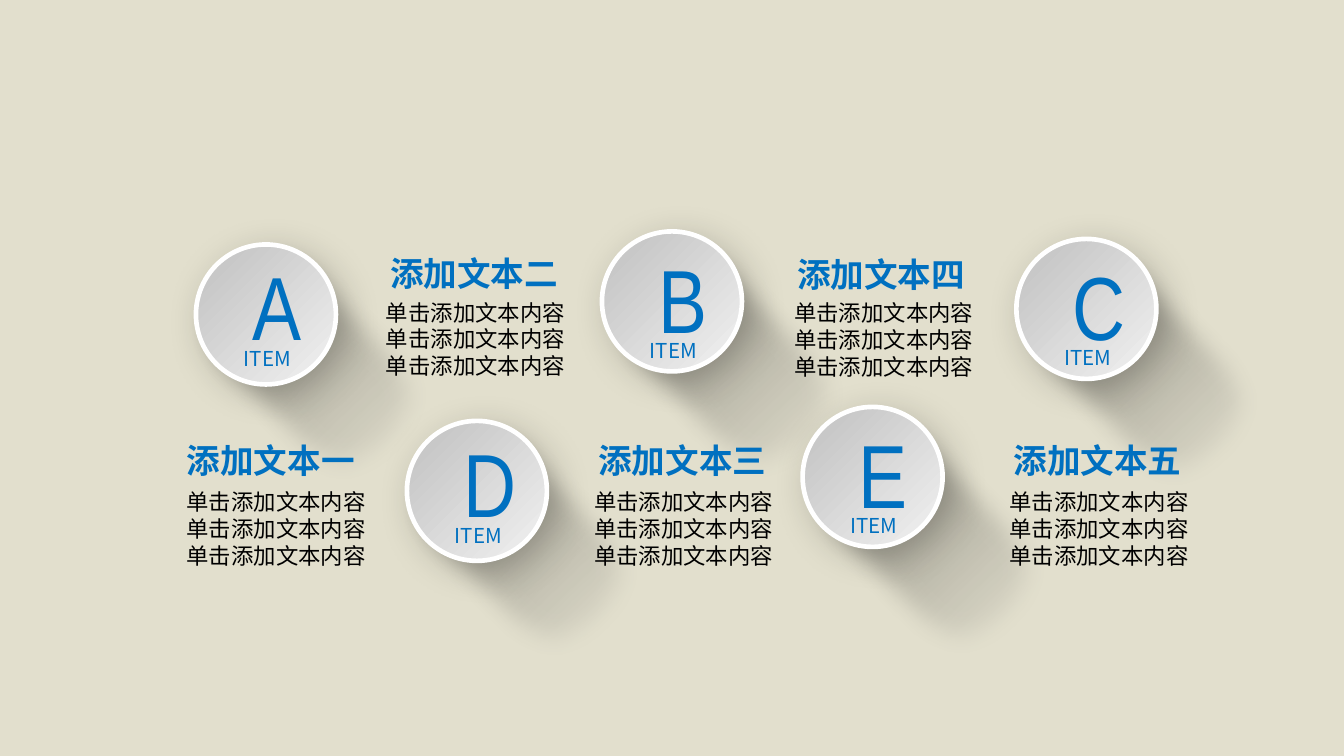
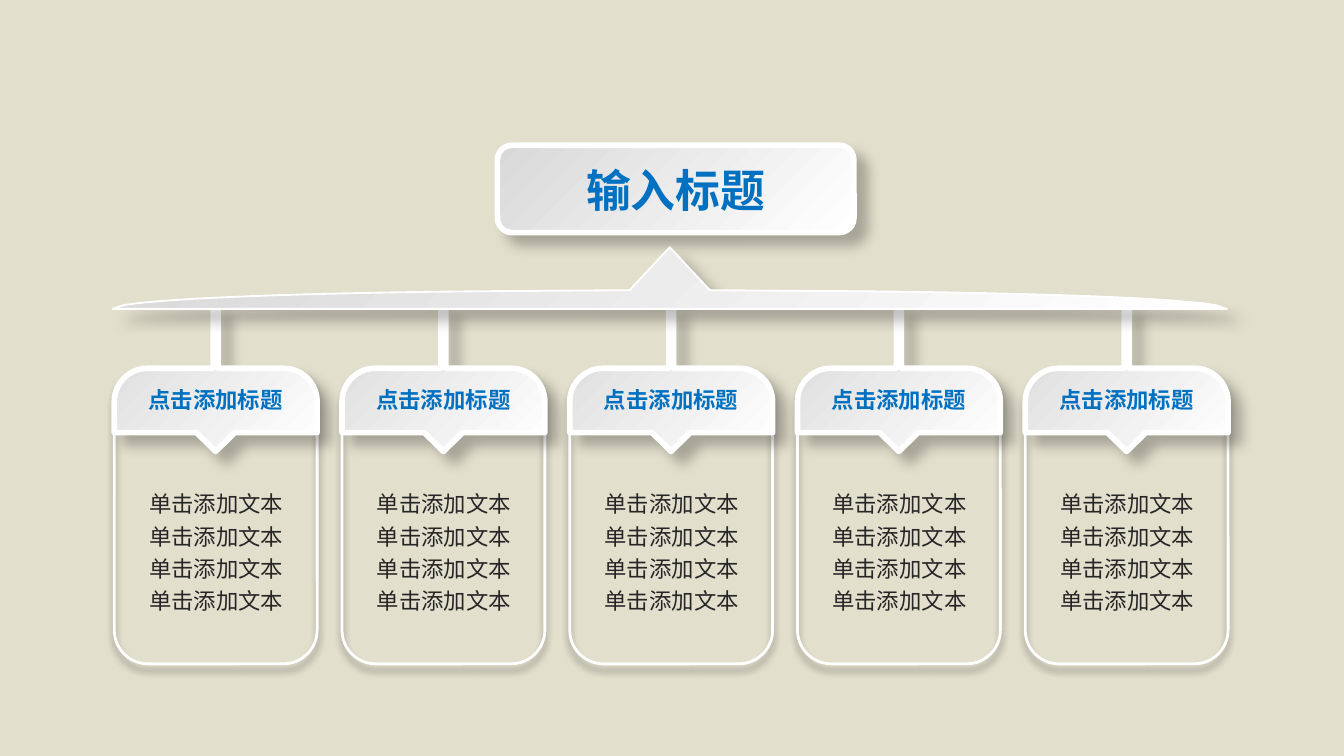
from lxml import etree
from pptx import Presentation
from pptx.dml.color import RGBColor
from pptx.enum import shapes, text
from pptx.oxml import ns, parse_xml
from pptx.util import Pt

COLORS = {
    "ground": "C4BD97", "accent": "0070C0", "white": "FFFFFF", "black": "000000",
    "ink": "262626", "silver": "D9D9D9", "grey": "BFBFBF", "pale": "F2F2F2", "fade": "D8D8D8",
}
SANS = "Noto Sans CJK SC"
DRAWING = ns.nsdecls("a")
INSETS = (5, 3)
PANEL = [(0, "silver", 100), (100, "white", 100)]
DISC = [(0, "grey", 100), (100, "pale", 100)]
CAST = [(0, "black", 61), (51, "black", 19), (100, "fade", 0)]
PANEL_SHADOW = (25, 7, 8, 45)  # opacity, blur, distance, angle
DISC_SHADOW = (20, 20, 6, 45)
BODY_SHADOW = (40, 4, 3, 90)
DISC_SIZE = 75


def rgb(name):
    return RGBColor.from_string(COLORS[name])


def color_xml(name, opacity):
    return f'<a:srgbClr val="{COLORS[name]}"><a:alpha val="{opacity * 1000}"/></a:srgbClr>'


def set_gradient(shape, stops, angle):
    shape.fill.gradient()
    old = shape._element.spPr.find(ns.qn("a:gradFill"))
    marks = "".join(f'<a:gs pos="{position * 1000}">{color_xml(name, opacity)}</a:gs>'
                    for position, name, opacity in stops)
    new = parse_xml(f'<a:gradFill {DRAWING} rotWithShape="1"><a:gsLst>{marks}</a:gsLst>'
                    f'<a:lin ang="{angle * 60000}" scaled="0"/></a:gradFill>')
    old.getparent().replace(old, new)


def effects(shape):
    """Return the shape's own, empty effect list."""
    shape.shadow.inherit = False
    return shape._element.spPr.find(ns.qn("a:effectLst"))


def set_shadow(shape, opacity, blur, distance, angle):
    effects(shape).append(parse_xml(
        f'<a:outerShdw {DRAWING} blurRad="{Pt(blur)}" dist="{Pt(distance)}" '
        f'dir="{angle * 60000}" algn="ctr" rotWithShape="0">'
        f'{color_xml("black", opacity)}</a:outerShdw>'))


def style(shape, stops, line_width, shadow):
    """White outline, drop shadow and, when stops are given, a diagonal gradient."""
    if stops:
        set_gradient(shape, stops, 45)
    else:
        shape.fill.background()
    shape.line.color.rgb = rgb("white")
    shape.line.width = Pt(line_width)
    set_shadow(shape, *shadow)


def add_preset(parent, kind, left, top, width, height):
    return parent.shapes.add_shape(kind, Pt(left), Pt(top), Pt(width), Pt(height))


def add_text(parent, left, top, width, height, lines, size, color="accent", font=SANS,
             bold=False, center=True, wrap=True, grow=False, middle=False,
             spacing=None, insets=INSETS):
    box = parent.shapes.add_textbox(Pt(left), Pt(top), Pt(width), Pt(height))
    frame = box.text_frame
    frame.word_wrap = wrap
    frame.auto_size = text.MSO_AUTO_SIZE.SHAPE_TO_FIT_TEXT if grow else text.MSO_AUTO_SIZE.NONE
    frame.vertical_anchor = text.MSO_ANCHOR.MIDDLE if middle else text.MSO_ANCHOR.TOP
    frame.margin_left = frame.margin_right = Pt(insets[0])
    frame.margin_top = frame.margin_bottom = Pt(insets[1])
    for index, line in enumerate(lines):
        para = frame.add_paragraph() if index else frame.paragraphs[0]
        para.alignment = text.PP_ALIGN.CENTER if center else text.PP_ALIGN.LEFT
        para.line_spacing = spacing
        span = para.add_run()
        span.text = line
        span.font.size = Pt(size)
        span.font.bold = bold
        span.font.color.rgb = rgb(color)
        span.font.name = font
        east_asian = etree.SubElement(span._r.rPr, ns.qn("a:ea"))
        east_asian.set("typeface", SANS)


def curve(start, first, second, end, steps=12):
    """Points of a cubic curve, without its start."""
    points = []
    for step in range(1, steps + 1):
        t = step / steps
        weights = ((1 - t) ** 3, 3 * t * (1 - t) ** 2, 3 * t * t * (1 - t), t ** 3)
        points.append(tuple(sum(w * p[axis] for w, p in zip(weights, (start, first, second, end)))
                            for axis in (0, 1)))
    return points


def add_symmetric(page, center, top, half):
    """Close a right half outline, listed from its top middle, with its mirror image."""
    outline = half + [(-x, y) for x, y in reversed(half)]
    points = [(Pt(center + x), Pt(top + y)) for x, y in outline]
    builder = page.shapes.build_freeform(*points[0], scale=1.0)
    builder.add_line_segments(points[1:], close=True)
    return builder.convert_to_shape()


def add_page(deck):
    page = deck.slides.add_slide(deck.slide_layouts[6])
    fill = page.background.fill
    fill.solid()
    fill.fore_color.rgb = rgb("ground")
    color = page.background._cSld.find(".//" + ns.qn("a:srgbClr"))
    etree.SubElement(color, ns.qn("a:alpha")).set("val", "48000")
    return page


def add_disc(page, letter, left, top, drop):
    """Lettered disc with a long cast shadow; drop lowers its text and shadow."""
    group = page.shapes.add_group_shape()
    cast = add_preset(group, shapes.MSO_SHAPE.ROUNDED_RECTANGLE,
                      left - 14 + 2 * drop, top + 13.5 + 2 * drop, 150.5, 99.5)
    cast.adjustments[0] = 0.5
    cast.rotation = 46
    set_gradient(cast, CAST, 0)
    cast.line.fill.background()
    etree.SubElement(effects(cast), ns.qn("a:softEdge")).set("rad", str(Pt(12.5)))
    disc = add_preset(group, shapes.MSO_SHAPE.OVAL, left, top, DISC_SIZE, DISC_SIZE)
    style(disc, DISC, 2.5, DISC_SHADOW)
    insets = (7.2, 3.6)
    add_text(group, left + 23, top + drop, 31, 65.5, [letter], 48,
             font="Arial Narrow", grow=True, insets=insets)
    add_text(group, left + 18, top + 51 + drop * 0.8, 40.5, 21, ["ITEM"], 11,
             grow=True, insets=insets)


def add_caption(page, title, left, top, indent, drop):
    add_text(page, left, top, 101.5, 27.5, [title], 18, font="Arial", bold=True,
             center=False, wrap=False, grow=True)
    add_text(page, left - indent, top + drop, 108, 49, ["单击添加文本内容"] * 3, 12, "black",
             "Arial", center=False, wrap=False, grow=True)


def build_items(deck):
    page = add_page(deck)
    for disc in (("A", 105, 131, 0), ("C", 544.5, 128, 3), ("B", 322.5, 124, 3),
                 ("D", 218, 225.5, 0), ("E", 430, 218, 3)):
        add_disc(page, *disc)
    for caption in (("添加文本二", 204, 132.5, 2.2, 24.5), ("添加文本三", 315.5, 232.5, 2.2, 26),
                    ("添加文本四", 422, 133, 1.5, 24.5), ("添加文本一", 95, 232.5, 0, 26),
                    ("添加文本五", 538, 232.5, 2.2, 26)):
        add_caption(page, *caption)


def add_column(page, left, top, width):
    """Hanging card: outlined body under a header with a stem and a pointer."""
    center, edge, radius, shoulder, base = left + width / 2, width / 2, 18, 31.7, 66.2
    body = add_preset(page, shapes.MSO_SHAPE.ROUNDED_RECTANGLE, left, top + shoulder, width, 158.4)
    style(body, None, 1.5, BODY_SHADOW)
    corner = curve((edge - radius, shoulder), (edge - 8, shoulder),
                   (edge, shoulder + 8), (edge, shoulder + radius))
    half = [(1.3, 0), (1.3, shoulder), (edge - radius, shoulder), *corner,
            (edge, base), (10.3, base), (0, 76.3)]
    style(add_symmetric(page, center, top, half), PANEL, 3, PANEL_SHADOW)
    add_text(page, center - 41.75, top + 38.2, 83.5, 20, ["点击添加标题"], 12,
             bold=True, middle=True)
    add_text(page, center - 47.2, top + 87.8, 95, 82, ["单击添加文本"] * 4, 12, "ink",
             middle=True, spacing=1.2)


def add_heading(page, left, top, width, height):
    group = page.shapes.add_group_shape()
    panel = add_preset(group, shapes.MSO_SHAPE.ROUNDED_RECTANGLE, left, top, width, height)
    style(panel, PANEL, 3, PANEL_SHADOW)
    add_text(group, left + (width - 108) / 2, top + 6.3, 108, 34.5, ["输入标题"], 24,
             bold=True, wrap=False, grow=True)


def add_beam(page, center, top):
    """Curved beam with a peak in the middle."""
    sweep = curve((103, 23.6), (198.5, 24.5), (271, 27.3), (292.5, 31))
    half = [(0, 0), (21.5, 23), (103, 23.6), *sweep, (298.5, 33)]
    style(add_symmetric(page, center, top, half), PANEL, 1, PANEL_SHADOW)


def build_structure(deck):
    page = add_page(deck)
    for index in range(5):
        add_column(page, 61.2 + 122 * index, 165.6, 108.7)
    add_heading(page, 266.5, 77.8, 191, 46.8)
    add_beam(page, 358.8, 132.5)


def main():
    deck = Presentation()
    deck.slide_width, deck.slide_height = Pt(720), Pt(405)
    build_items(deck)
    build_structure(deck)
    deck.save("out.pptx")


if __name__ == "__main__":
    main()
